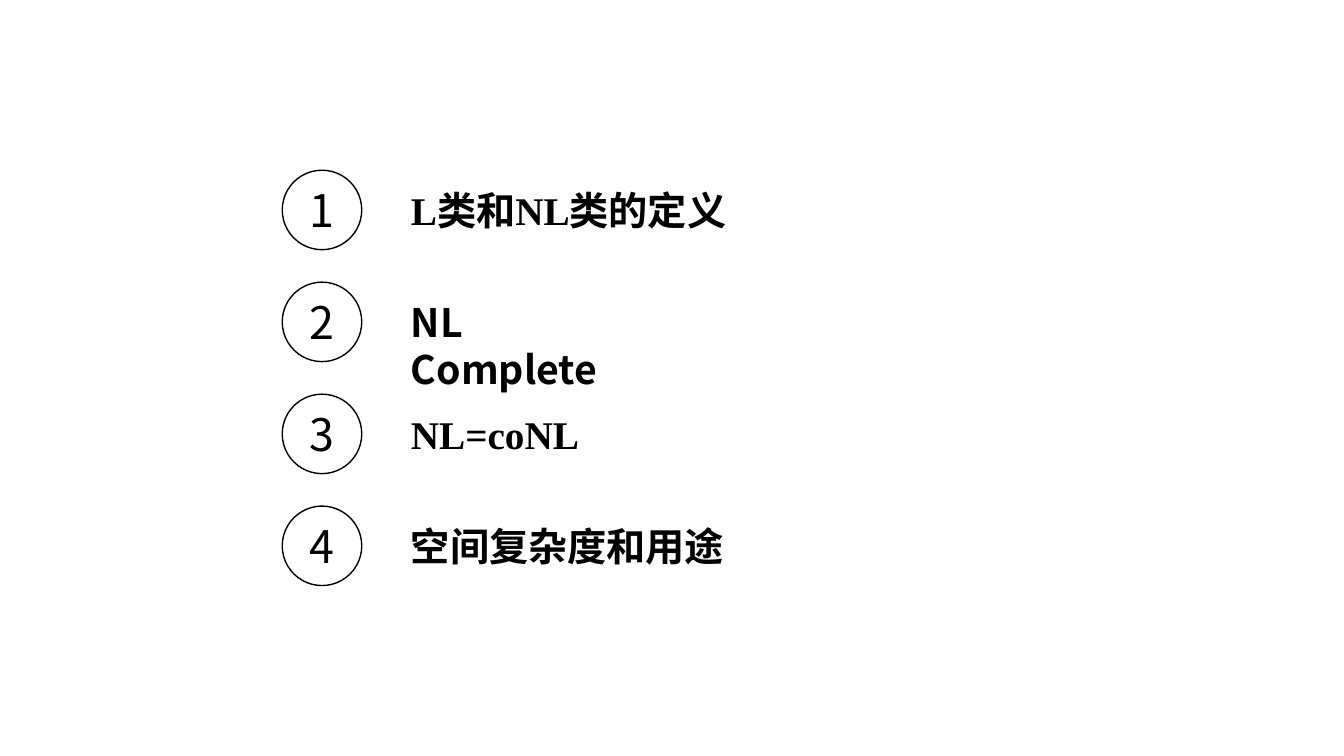
from pptx import Presentation, util as u
from pptx.dml.color import RGBColor
from pptx.enum import shapes, text
from pptx.oxml.ns import qn

COLORS = {"ink": "000000", "paper": "FFFFFF"}
SANS, SERIF = "Noto Sans CJK SC", "Times New Roman"
COLUMNS = 12
# Agenda entry, Latin font, text width in grid units
AGENDA = [
    ("L类和NL类的定义", SERIF, 3.04),
    ("NL Complete", SANS, 2.14),
    ("NL=coNL", SERIF, 1.7),
    ("空间复杂度和用途", SANS, 3.03),
]
LEFT, TOP = 2.52, 1.52
TEXT_LEFT, TEXT_DROP = 3.58, 0.1


class AgendaSlide:
    """Draws on one slide with a square grid, twelve units wide."""

    number_style = {"size": u.Pt(32), "bold": False}
    entry_style = {"size": u.Pt(28), "bold": True}

    def __init__(self, prs):
        self.unit = prs.slide_width / COLUMNS
        self.s = prs.slides.add_slide(prs.slide_layouts[6])

    def grid(self, *lengths):
        return [u.Emu(round(n * self.unit)) for n in lengths]

    def color(self, name):
        return RGBColor.from_string(COLORS[name])

    def add_words(self, tf, words, font, style):
        r = tf.paragraphs[0].add_run()
        r.text = words
        for key, value in {**style, "name": font}.items():
            setattr(r.font, key, value)
        r.font.color.rgb = self.color("ink")
        latin = r._r.rPr.find(qn("a:latin"))
        latin.addnext(latin.makeelement(qn("a:ea"), {"typeface": SANS}))

    def number(self, x, y, n, size=0.71):
        sp = self.s.shapes.add_shape(shapes.MSO_SHAPE.OVAL,
                                     *self.grid(x, y, size, size))
        sp.shadow.inherit = False
        sp.fill.solid()
        sp.fill.fore_color.rgb = self.color("paper")
        sp.line.color.rgb = self.color("ink")
        sp.line.width = u.Pt(1)
        tf = sp.text_frame
        tf.vertical_anchor = text.MSO_ANCHOR.MIDDLE
        tf.paragraphs[0].alignment = text.PP_ALIGN.CENTER
        self.add_words(tf, str(n), SANS, self.number_style)

    def entry(self, x, y, width, words, font):
        sp = self.s.shapes.add_textbox(*self.grid(x, y, width, 0.51))
        tf = sp.text_frame
        tf.word_wrap = True
        tf.auto_size = text.MSO_AUTO_SIZE.SHAPE_TO_FIT_TEXT
        self.add_words(tf, words, font, self.entry_style)


def main():
    prs = Presentation()
    prs.slide_width, prs.slide_height = u.Inches(13.33), u.Inches(7.5)
    agenda = AgendaSlide(prs)
    for row, (words, font, width) in enumerate(AGENDA):
        agenda.entry(TEXT_LEFT, TOP + row + TEXT_DROP, width, words, font)
        agenda.number(LEFT, TOP + row, row + 1)
    prs.save("out.pptx")


if __name__ == "__main__":
    main()
